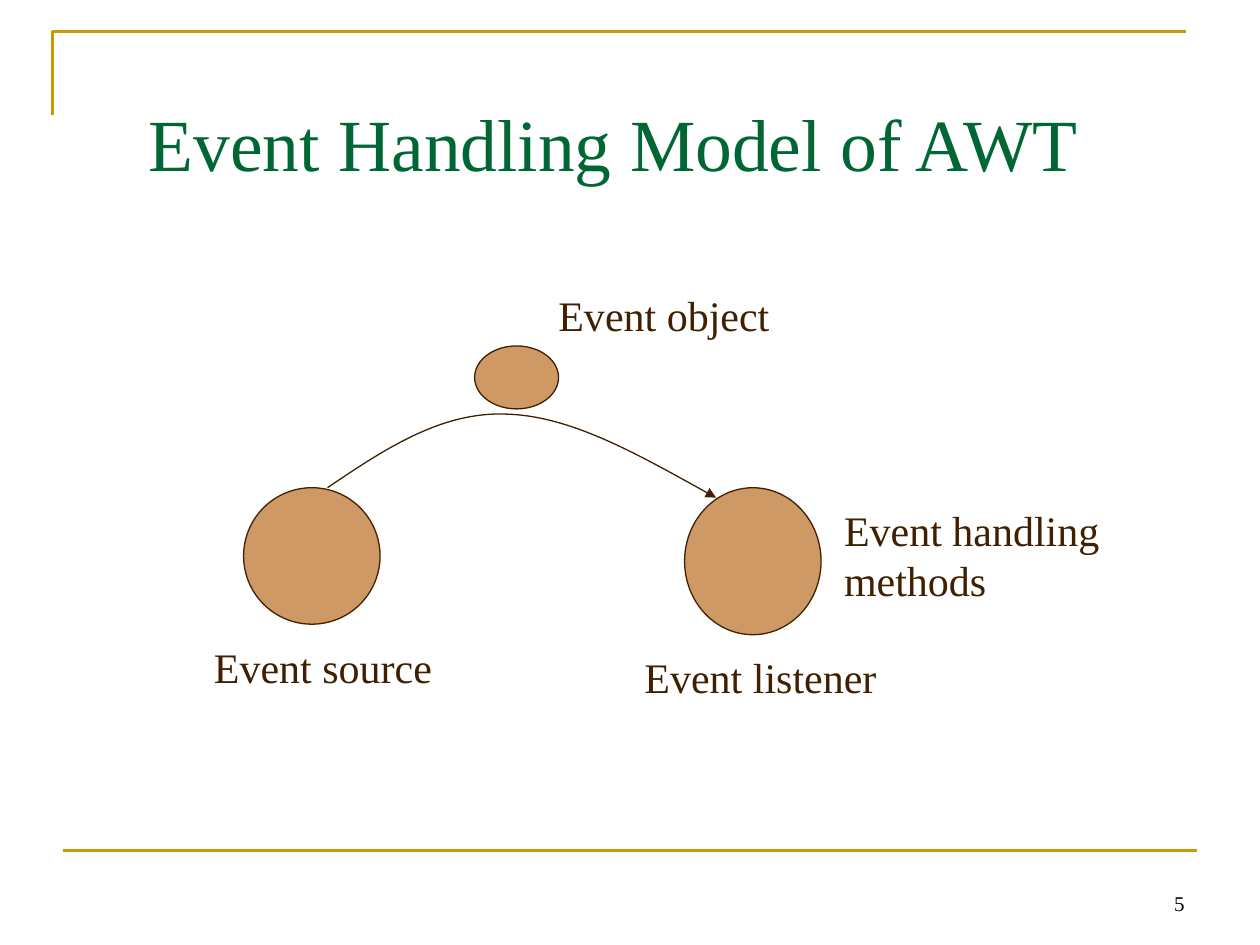
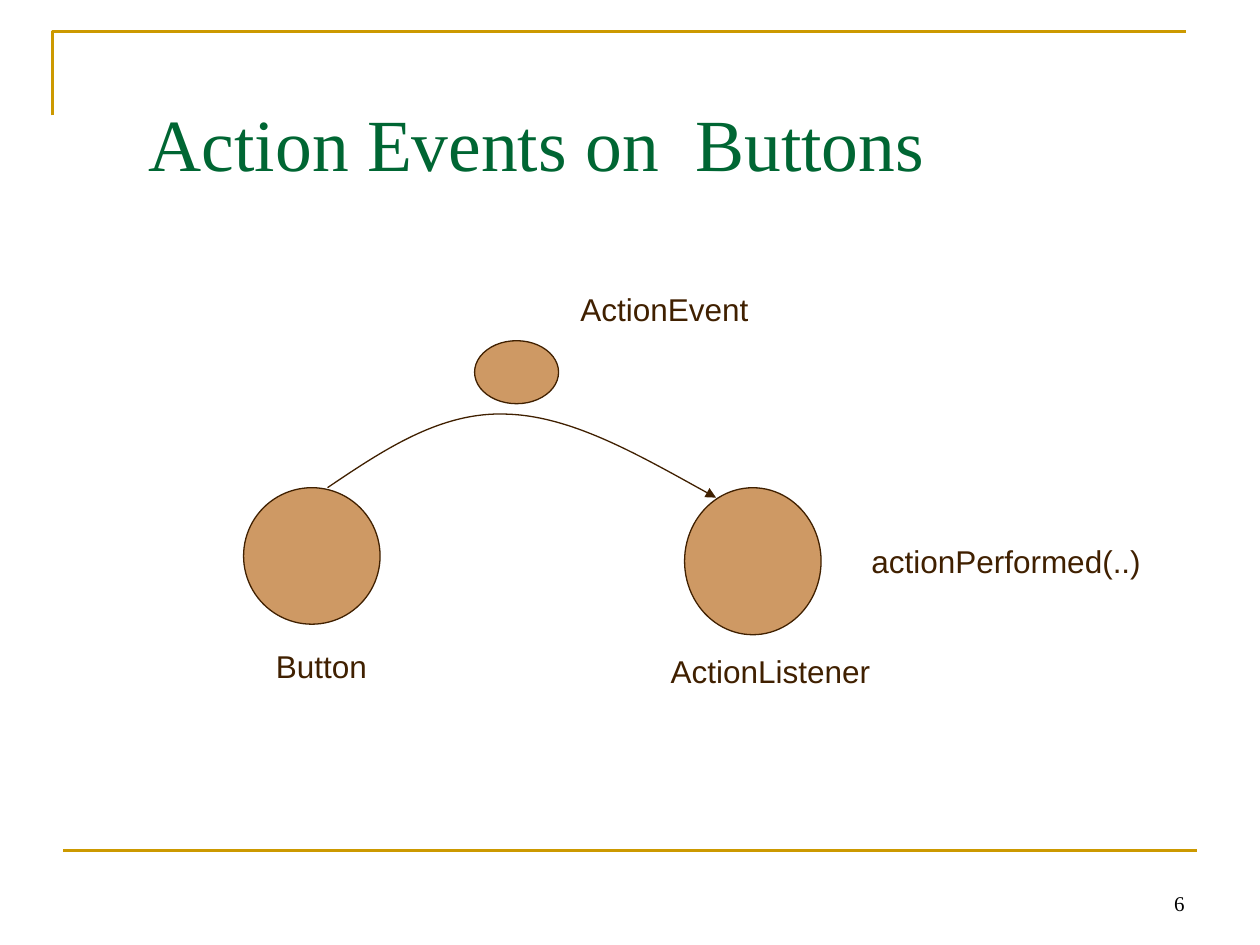
from dataclasses import dataclass

from lxml.etree import SubElement
from pptx import Presentation
from pptx.dml.color import RGBColor as Rgb
from pptx.enum.shapes import MSO_CONNECTOR as Connector, MSO_SHAPE as Preset
from pptx.enum.text import MSO_ANCHOR as Anchor, MSO_AUTO_SIZE as AutoSize, PP_ALIGN as Align
from pptx.oxml.ns import qn
from pptx.util import Inches, Pt


@dataclass(frozen=True)
class Theme:
    gold: str = "CC9900"
    green: str = "006633"
    brown: str = "402000"
    tan: str = "CE9964"
    black: str = "000000"
    serif: str = "Times New Roman"
    sans: str = "Arial"
    title_size: int = 42
    serif_size: int = 24
    sans_size: int = 18
    number_size: int = 12
    rule_width: float = 1.5
    outline_width: float = 0.75


class Sketch:
    COLUMNS, ROWS = 120, 90

    def __init__(self, theme):
        self.theme = theme
        self.deck = Presentation()
        self.deck.slide_width, self.deck.slide_height = Inches(10), Inches(7.5)
        self.page = None

    def x(self, columns):
        return round(self.deck.slide_width * columns / self.COLUMNS)

    def y(self, rows):
        return round(self.deck.slide_height * rows / self.ROWS)

    def frame(self, left, top, width, height):
        return self.x(left), self.y(top), self.x(width), self.y(height)

    def stroke(self, line, color, width):
        line.color.rgb = Rgb.from_string(color)
        line.width = Pt(width)

    def text(self, lines, place, font, size, color, align=Align.LEFT, **frame_format):
        box = self.page.shapes.add_textbox(*self.frame(*place))
        for name, value in {"word_wrap": True, **frame_format}.items():
            setattr(box.text_frame, name, value)
        for index, words in enumerate(lines):
            paras = box.text_frame.paragraphs
            para = box.text_frame.add_paragraph() if index else paras[0]
            para.alignment = align
            span = para.add_run()
            span.text = words
            for name, value in {"name": font, "size": Pt(size)}.items():
                setattr(span.font, name, value)
            span.font.color.rgb = Rgb.from_string(color)

    def label(self, lines, place, font, size):
        self.text(lines, place, font, size, self.theme.brown,
                  word_wrap=False, auto_size=AutoSize.SHAPE_TO_FIT_TEXT)

    def ellipse(self, *place):
        shape = self.page.shapes.add_shape(Preset.OVAL, *self.frame(*place))
        shape.shadow.inherit = False
        shape.fill.solid()
        shape.fill.fore_color.rgb = Rgb.from_string(self.theme.tan)
        self.stroke(shape.line, self.theme.brown, self.theme.outline_width)

    def outline(self, points, color, width):
        start, *rest = [(self.x(column), self.y(row)) for column, row in points]
        builder = self.page.shapes.build_freeform(*start)
        builder.add_line_segments(rest, close=False)
        shape = builder.convert_to_shape()
        shape.shadow.inherit = False
        shape.fill.background()
        self.stroke(shape.line, color, width)
        return shape

    def curved_arrow(self, points):
        shape = self.outline(points, self.theme.brown, self.theme.outline_width)
        trace = next(shape.element.iter(qn("a:path")))
        segments = trace.findall(qn("a:lnTo"))
        for first in range(0, len(segments), 3):
            curve = SubElement(trace, qn("a:cubicBezTo"))
            for segment in segments[first:first + 3]:
                curve.append(segment[0])
                trace.remove(segment)
        SubElement(shape.element.spPr.find(qn("a:ln")), qn("a:tailEnd"), type="triangle")

    def rule(self, left, right, row):
        line = self.page.shapes.add_connector(
            Connector.STRAIGHT, self.x(left), self.y(row), self.x(right), self.y(row))
        self.stroke(line.line, self.theme.gold, self.theme.rule_width)
        SubElement(line.element.spPr, qn("a:effectLst"))

    def start_page(self, title, number):
        theme = self.theme
        self.page = self.deck.slides.add_slide(self.deck.slide_layouts[6])
        self.outline([(5, 11), (5, 3), (113, 3)], theme.gold, theme.rule_width)
        self.rule(6, 114, 81)
        self.text([str(number)], (86, 82, 28, 5.85), theme.serif, theme.number_size,
                  theme.black, Align.RIGHT, vertical_anchor=Anchor.BOTTOM)
        self.text([title], (13, 6, 102, 15), theme.serif, theme.title_size,
                  theme.green, vertical_anchor=Anchor.MIDDLE)

    def event_flow(self, event_row, labels, font, size):
        self.ellipse(23.2, 46.45, 13, 13)
        self.ellipse(65.2, 46.45, 13, 14)
        self.curved_arrow([(31.2, 46.45), (36.6, 42.8), (42, 39.2), (48.2, 39.45),
                           (54.4, 39.6), (61.3, 43.6), (68.2, 47.4)])
        self.ellipse(45.2, event_row, 8, 6)
        for lines, place in labels:
            self.label(lines, place, font, size)


def main():
    theme = Theme()
    sketch = Sketch(theme)

    sketch.start_page("Event Handling Model of AWT", 5)
    sketch.event_flow(32.95, [
        (["Event source"], (19.2, 60.5, 23.5, 6)),
        (["Event listener"], (60.2, 61.5, 24.8, 6)),
        (["Event object"], (52, 27, 22.8, 6)),
        (["Event handling", "methods"], (79.2, 47.45, 28, 10.8)),
    ], theme.serif, theme.serif_size)

    sketch.start_page("Action Events on  Buttons", 6)
    sketch.event_flow(32.45, [
        (["Button"], (25.1, 61, 11.5, 4.8)),
        (["ActionListener"], (62.7, 61.5, 21.8, 4.8)),
        (["ActionEvent"], (54.1, 27, 18.8, 4.8)),
        (["actionPerformed(..)"], (81.8, 51, 28.5, 4.8)),
    ], theme.sans, theme.sans_size)

    sketch.deck.save("out.pptx")


if __name__ == "__main__":
    main()
